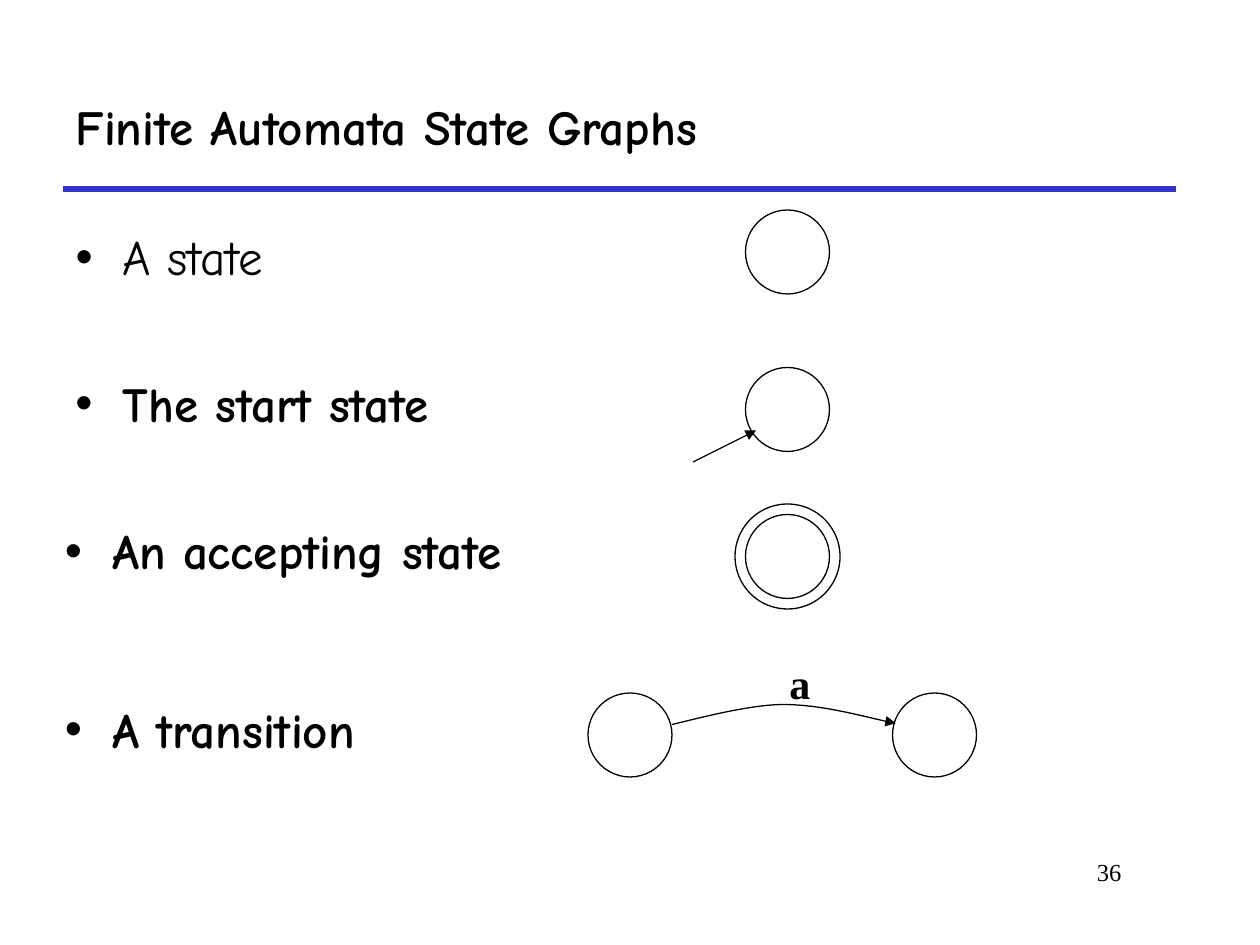
from dataclasses import dataclass

from lxml.etree import SubElement
from pptx import Presentation
from pptx.dml.color import RGBColor
from pptx.enum.shapes import MSO_CONNECTOR, MSO_SHAPE
from pptx.enum.text import MSO_ANCHOR, MSO_AUTO_SIZE, PP_ALIGN
from pptx.oxml.ns import qn
from pptx.util import Emu, Pt

PX = 7620  # EMU per px, 120 px to the inch


@dataclass(frozen=True)
class Theme:
    ink: RGBColor = RGBColor(0x00, 0x00, 0x00)
    rule: RGBColor = RGBColor(0x33, 0x33, 0xCC)
    main_font: str = "Comic Neue"
    label_font: str = "Times New Roman"
    main_size: int = 28
    label_size: int = 24
    number_size: int = 14
    thin: float = 0.75
    thick: float = 3


@dataclass(frozen=True)
class Item:
    text: str
    left: int
    top: int
    bold: bool = True


THEME = Theme()
STATE_SIZE = 80
RING_GAP = 10
STATE_LEFT = 710
INDENT = 45
ITEMS = [
    Item("A state", 60, 210, bold=False),
    Item("The start state", 60, 350),
    Item("An accepting state", 50, 490),
    Item("A transition", 50, 660),
]


def px(value: int) -> Emu:
    return Emu(value * PX)


def place(shape, left: int, top: int, width: int, height: int) -> None:
    shape.left, shape.top = px(left), px(top)
    shape.width, shape.height = px(width), px(height)


def write(shape, text: str, font: str, size: int, bold: bool = False,
          align=PP_ALIGN.LEFT, anchor=MSO_ANCHOR.TOP, wrap: bool = True):
    frame = shape.text_frame
    frame.word_wrap = wrap
    frame.auto_size = MSO_AUTO_SIZE.NONE if wrap else MSO_AUTO_SIZE.SHAPE_TO_FIT_TEXT
    frame.vertical_anchor = anchor
    para = frame.paragraphs[0]
    para.text = text
    para.alignment = align
    para.space_before = Pt(0)
    para.font.name, para.font.size, para.font.bold = font, Pt(size), bold
    para.font.color.rgb = THEME.ink


def add_bullet(shape) -> None:
    properties = shape.text_frame.paragraphs[0]._p.get_or_add_pPr()
    properties.set("marL", str(px(INDENT)))
    properties.set("indent", str(px(-INDENT)))
    SubElement(properties, qn("a:buFont")).set("typeface", "Arial")
    SubElement(properties, qn("a:buChar")).set("char", "•")


def style_line(shape, color: RGBColor, width: float, arrow: bool = False) -> None:
    shape.line.color.rgb = color
    shape.line.width = Pt(width)
    if arrow:
        SubElement(shape.line._get_or_add_ln(), qn("a:tailEnd")).set("type", "triangle")


def add_state(shapes, left: int, top: int, size: int = STATE_SIZE) -> None:
    circle = shapes.add_shape(MSO_SHAPE.OVAL, px(left), px(top), px(size), px(size))
    circle.shadow.inherit = False
    circle.fill.background()
    style_line(circle, THEME.ink, THEME.thin)


def add_line(shapes, start: tuple[int, int], end: tuple[int, int],
             color: RGBColor, width: float, arrow: bool = False) -> None:
    line = shapes.add_connector(MSO_CONNECTOR.STRAIGHT, *map(px, start + end))
    style_line(line, color, width, arrow)
    SubElement(line._element.spPr, qn("a:effectLst"))


def add_curve(shapes, start: tuple[int, int], curves: list) -> None:
    """Draw cubic curves, each given as two control points and an end point."""
    ends = [curve[-1] for curve in curves]
    builder = shapes.build_freeform(*start, scale=PX)
    builder.add_line_segments(ends, close=False)
    arc = builder.convert_to_shape()
    left = min(x for x, _ in [start, *ends])
    top = min(y for _, y in [start, *ends])
    segments = list(arc._element.iter(qn("a:lnTo")))
    for segment, curve in zip(segments, curves):
        bezier = SubElement(segment.getparent(), qn("a:cubicBezTo"))
        segment.getparent().replace(segment, bezier)
        for x, y in curve:
            point = SubElement(bezier, qn("a:pt"))
            point.set("x", str(x - left))
            point.set("y", str(y - top))
    arc.shadow.inherit = False
    arc.fill.background()
    style_line(arc, THEME.ink, THEME.thin, arrow=True)


def main() -> None:
    deck = Presentation()
    deck.slide_width, deck.slide_height = px(1200), px(900)
    page = deck.slides.add_slide(deck.slide_layouts[1])
    shapes = page.shapes

    # Title, rule and page number
    add_line(shapes, (60, 180), (1120, 180), THEME.rule, THEME.thick)
    place(shapes.title, 60, 60, 1060, 120)
    write(shapes.title, "Finite Automata State Graphs", THEME.main_font,
          THEME.main_size, bold=True, anchor=MSO_ANCHOR.MIDDLE)
    number = shapes.add_textbox(px(910), px(810), px(170), px(60))
    write(number, "36", THEME.label_font, THEME.number_size, align=PP_ALIGN.RIGHT)

    # Bulleted names, the first in the body placeholder
    for index, item in enumerate(ITEMS):
        box = page.placeholders[1] if index == 0 else shapes.add_textbox(0, 0, 0, 0)
        place(box, item.left, item.top, 1090, 70)
        add_bullet(box)
        write(box, item.text, THEME.main_font, THEME.main_size, item.bold)

    # A state
    add_state(shapes, STATE_LEFT, 200)

    # The start state
    start = shapes.add_group_shape().shapes
    add_state(start, STATE_LEFT, 350)
    add_line(start, (660, 440), (720, 410), THEME.ink, THEME.thin, arrow=True)

    # An accepting state
    accepting = shapes.add_group_shape().shapes
    add_state(accepting, STATE_LEFT, 490)
    add_state(accepting, STATE_LEFT - RING_GAP, 490 - RING_GAP, STATE_SIZE + 2 * RING_GAP)

    # A transition
    transition = shapes.add_group_shape().shapes
    for left in (560, 850):
        add_state(transition, left, 660)
    add_curve(transition, (640, 690), [
        [(658, 686), (712, 671), (746, 671)],
        [(782, 671), (832, 685), (853, 689)],
    ])
    label = transition.add_textbox(px(740), px(620), px(42), px(60))
    write(label, "a", THEME.label_font, THEME.label_size, bold=True, wrap=False)

    deck.save("out.pptx")


if __name__ == "__main__":
    main()
